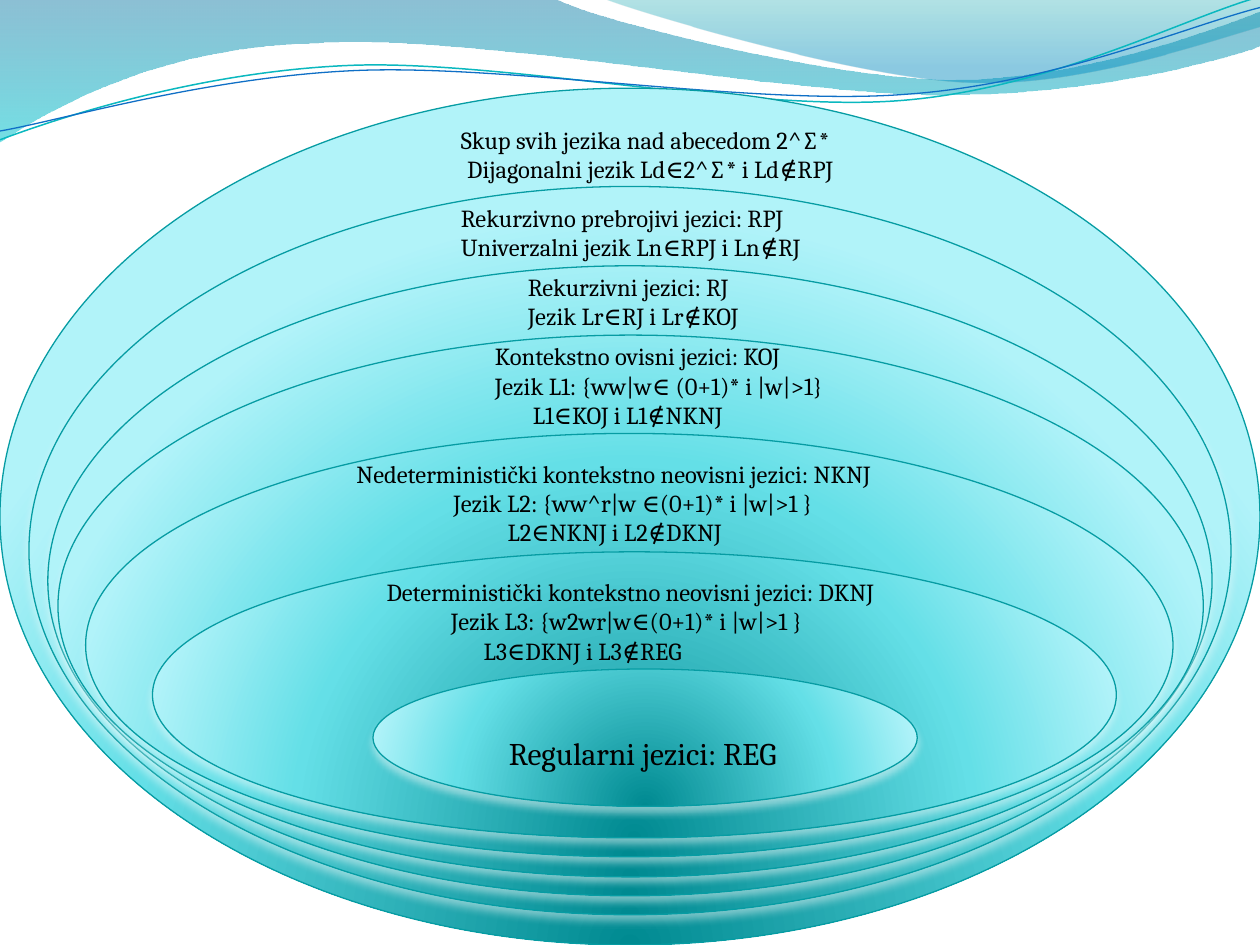
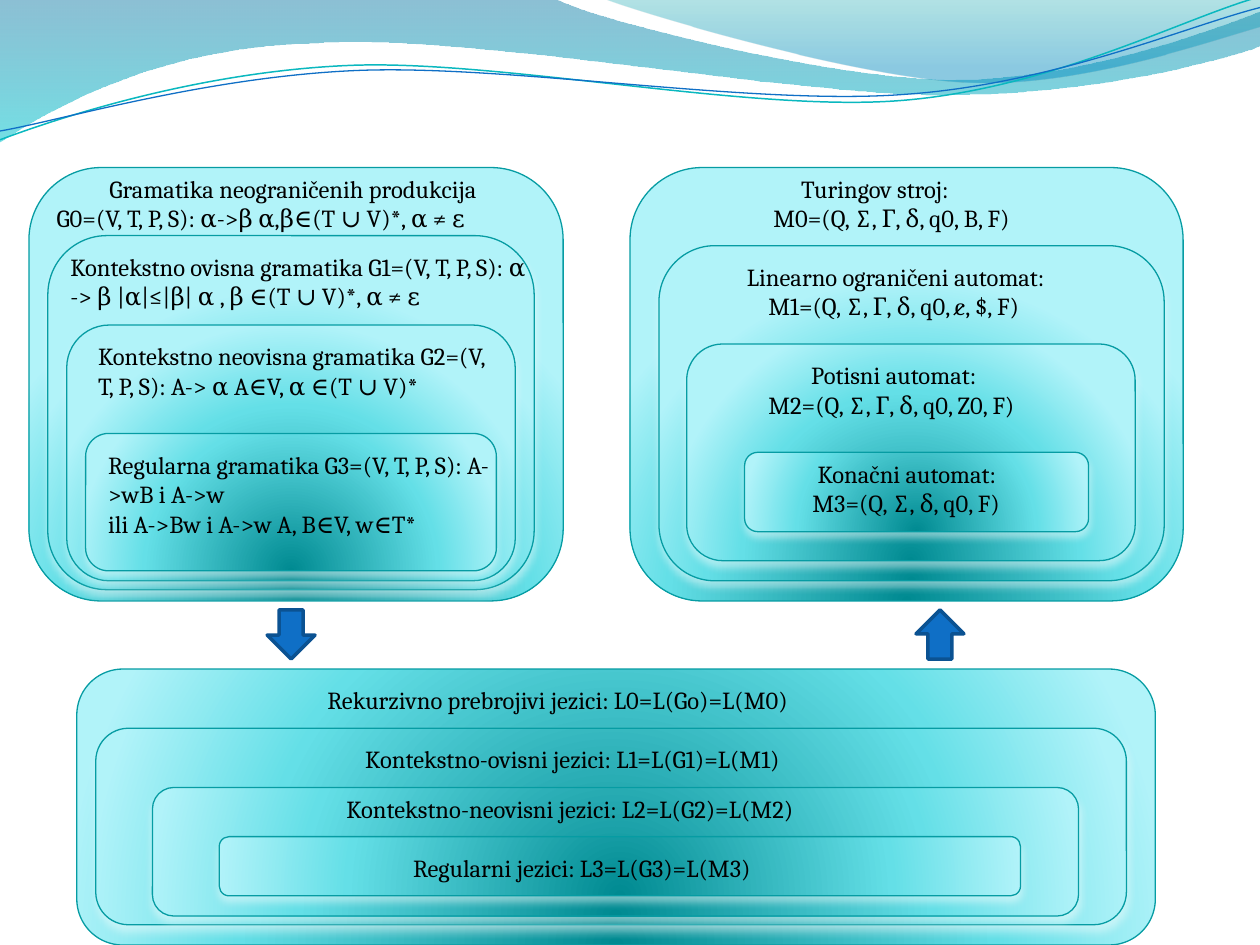
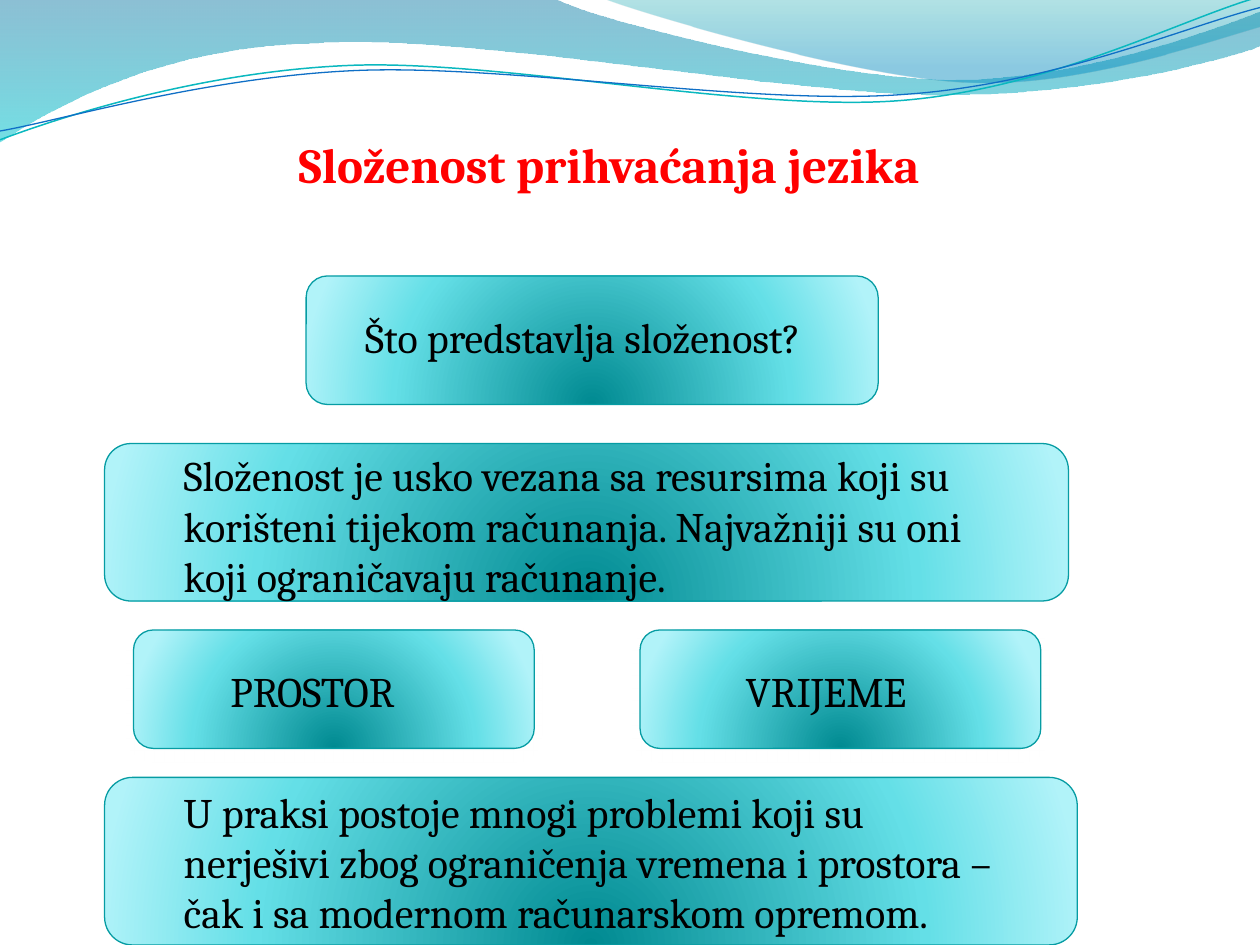
"""Build three slides on language classes, automata and complexity."""
from dataclasses import dataclass
from typing import NamedTuple

from pptx import Presentation
from pptx.dml.color import RGBColor
from pptx.enum.lang import MSO_LANGUAGE_ID
from pptx.enum.shapes import MSO_CONNECTOR, MSO_SHAPE
from pptx.enum.text import MSO_ANCHOR, MSO_AUTO_SIZE, PP_ALIGN
from pptx.oxml import parse_xml
from pptx.oxml.ns import nsdecls, qn
from pptx.util import Inches, Pt

BLACK = RGBColor(0x00, 0x00, 0x00)
RED = RGBColor(0xFF, 0x00, 0x00)
BLUE = RGBColor(0x0F, 0x6F, 0xC6)
NAVY = RGBColor(0x0B, 0x52, 0x92)
CYAN = RGBColor(0x0A, 0xB8, 0xBF)
TEAL_LINE = RGBColor(0x06, 0x9C, 0xA3)
TEAL_DARK = RGBColor(0x00, 0x8A, 0x91)
TEAL_MID = RGBColor(0x64, 0xDF, 0xE7)
TEAL_PALE = RGBColor(0xB1, 0xF3, 0xF9)
WAVE_BLUE = RGBColor(0x00, 0x74, 0xA1)
WAVE_AQUA = RGBColor(0x00, 0xC6, 0xCF)
WAVE_TEAL = RGBColor(0x00, 0xA1, 0xA9)
WAVE_SKY = RGBColor(0x00, 0x8B, 0xBF)
GLOW = RGBColor(0xFF, 0xFF, 0xFF)
FONT = "Cambria"
TITLE_ONLY, BLANK = 5, 6
ELLIPSE, ROUND = MSO_SHAPE.OVAL, MSO_SHAPE.ROUNDED_RECTANGLE


class Box(NamedTuple):
    """Left, top, width and height in inches."""

    left: float
    top: float
    width: float
    height: float

    def emu(self) -> tuple:
        """Return the box as lengths."""
        return tuple(Inches(v) for v in self)


class Line(NamedTuple):
    """One paragraph and its left indent in inches."""

    text: str
    indent: float = 0


class Stop(NamedTuple):
    """One gradient stop, with position and opacity in percent."""

    pos: int
    color: RGBColor
    opacity: int = 100


@dataclass(frozen=True)
class Panel:
    """A gradient shape and the caption that lies on it."""

    box: Box
    caption: Box
    lines: tuple[Line, ...]
    size: int = 14


@dataclass(frozen=True)
class Wave:
    """A curved outline; six-number segments are Bézier curves."""

    start: tuple[float, float]
    segments: tuple[tuple[float, ...], ...]
    stops: tuple[Stop, ...] = ()
    color: RGBColor | None = None
    weight: float = 0


PANEL_STOPS = (Stop(0, TEAL_DARK), Stop(68, TEAL_MID), Stop(100, TEAL_PALE))
RADIAL = ('<a:path path="circle"><a:fillToRect l="50000" t="130000" '
          'r="50000" b="-30000"/></a:path>')
DOWNWARD = '<a:lin ang="5400000" scaled="0"/>'

WAVES = (
    Wave((0, 0), ((4.4, -0.01), (4.76, 0.17, 6.64, 0.63, 7.58, 0.63),
                  (8.53, 0.63, 9.58, 0.26, 10, 0.09), (10.01, 0.36),
                  (9.83, 0.44, 8.7, 0.76, 7.46, 0.75),
                  (6.22, 0.75, 3.82, 0.28, 2.57, 0.34),
                  (1.29, 0.36, 0.46, 0.83, -0.01, 1.13)),
         stops=(Stop(0, WAVE_BLUE, 45), Stop(100, WAVE_AQUA, 55))),
    Wave((4.79, -0.01), ((5.09, 0.11, 6.82, 0.62, 7.69, 0.65),
                         (8.56, 0.69, 9.61, 0.32, 10, 0.21), (10, 0)),
         stops=(Stop(0, WAVE_TEAL, 30), Stop(80, WAVE_SKY, 45))),
    Wave((0, 1.11), ((0.48, 0.93, 1.58, 0.57, 2.77, 0.52),
                     (3.95, 0.47, 5.93, 0.89, 7.13, 0.8),
                     (8.33, 0.71, 9.38, 0.15, 9.98, -0.02)),
         color=CYAN, weight=0.85),
    Wave((0, 1.04), ((0.47, 0.96, 1.64, 0.61, 2.83, 0.56),
                     (4.03, 0.51, 5.97, 0.84, 7.17, 0.75),
                     (8.36, 0.67, 9.41, 0.21, 10, 0.06)),
         color=BLUE, weight=0.75),
)

LANGUAGE_CLASSES = (
    Panel(Box(0, 0.7, 10, 6.8), Box(3.56, 0.94, 3.94, 0.57),
          (Line("Skup svih jezika nad abecedom 2^∑*"),
           Line("Dijagonalni jezik Ld∈2^∑* i Ld∉RPJ", 0.05))),
    Panel(Box(0.23, 1.48, 9.54, 5.78), Box(3.56, 1.56, 3.64, 0.57),
          (Line("Rekurzivno prebrojivi jezici: RPJ"),
           Line("Univerzalni jezik Ln∈RPJ i Ln∉RJ"))),
    Panel(Box(0.38, 2.11, 9.24, 5), Box(4.09, 2.11, 2.35, 0.57),
          (Line("Rekurzivni jezici: RJ"), Line("Jezik Lr∈RJ i Lr∉KOJ"))),
    Panel(Box(0.46, 2.66, 9.09, 4.3), Box(3.83, 2.66, 3.41, 0.81),
          (Line("Kontekstno ovisni jezici: KOJ"),
           Line("Jezik L1: {ww|w∈ (0+1)* i |w|>1}"),
           Line("L1∈KOJ i L1∉NKNJ", 0.3))),
    Panel(Box(0.68, 3.44, 8.63, 3.36), Box(2.73, 3.59, 5.83, 0.81),
          (Line("Nedeterministički kontekstno neovisni jezici: NKNJ"),
           Line("Jezik L2: {ww^r|w ∈(0+1)* i |w|>1 }", 0.77),
           Line("L2∈NKNJ i L2∉DKNJ", 1.2))),
    Panel(Box(1.21, 4.38, 7.65, 2.27), Box(2.97, 4.53, 4.47, 0.81),
          (Line("Deterministički kontekstno neovisni jezici: DKNJ"),
           Line("Jezik L3: {w2wr|w∈(0+1)* i |w|>1 }", 0.51),
           Line("L3∈DKNJ i L3∉REG", 0.77))),
    Panel(Box(2.96, 5.31, 4.32, 1.09), Box(3.94, 5.78, 2.65, 0.4),
          (Line("Regularni jezici: REG"),), 18),
)

GRAMMARS = (
    Panel(Box(0.23, 1.33, 4.24, 3.44), Box(0.3, 1.33, 4.09, 0.57),
          (Line("Gramatika neograničenih produkcija", 0.47),
           Line("G0=(V, T, P, S): α->β α,β∈(T ∪ V)*, α ≠ ε", 0.05))),
    Panel(Box(0.38, 1.87, 3.86, 2.81), Box(0.46, 1.95, 3.86, 0.57),
          (Line("Kontekstno ovisna gramatika G1=(V, T, P, S): α -> β "
                "|α|≤|β| α , β ∈(T ∪ V)*, α ≠ ε"),)),
    Panel(Box(0.53, 2.58, 3.56, 2.03), Box(0.68, 2.66, 3.33, 0.81),
          (Line("Kontekstno neovisna gramatika G2=(V, T, P, S): "
                "A-> α A∈V, α ∈(T ∪ V)*"),)),
    Panel(Box(0.68, 3.44, 3.26, 1.09), Box(0.76, 3.52, 3.26, 0.81),
          (Line("Regularna gramatika G3=(V, T, P, S): A->wB i A->w"),
           Line("ili A->Bw i A->w A, B∈V, w∈T*"))),
)

AUTOMATA = (
    Panel(Box(5, 1.33, 4.39, 3.44), Box(5.53, 1.33, 3.33, 0.57),
          (Line("Turingov stroj:", 0.73),
           Line("M0=(Q, ∑, Γ, δ, q0, B, F)", 0.51))),
    Panel(Box(5.23, 1.95, 4.01, 2.66), Box(5.83, 2.03, 2.8, 0.57),
          (Line("Linearno ograničeni automat:"),
           Line("M1=(Q, ∑, Γ, δ, q0, c, $, F)", 0.17))),
    Panel(Box(5.45, 2.73, 3.56, 1.72), Box(5.83, 2.81, 2.8, 0.57),
          (Line("Potisni automat:", 0.51),
           Line("M2=(Q, ∑, Γ, δ, q0, Z0, F)", 0.17))),
    Panel(Box(5.91, 3.59, 2.73, 0.63), Box(6.14, 3.59, 2.27, 0.57),
          (Line("Konačni automat:", 0.25),
           Line("M3=(Q, ∑, δ, q0, F)", 0.21))),
)

LANGUAGES = (
    Panel(Box(0.61, 5.31, 8.56, 2.19), Box(2.5, 5.39, 6.74, 0.34),
          (Line("Rekurzivno prebrojivi jezici: L0=L(Go)=L(M0)"),)),
    Panel(Box(0.76, 5.78, 8.18, 1.56), Box(2.8, 5.86, 6.13, 0.34),
          (Line("Kontekstno-ovisni jezici: L1=L(G1)=L(M1)"),)),
    Panel(Box(1.21, 6.25, 7.35, 1.02), Box(2.65, 6.25, 4.47, 0.34),
          (Line("Kontekstno-neovisni jezici: L2=L(G2)=L(M2)"),)),
    Panel(Box(1.74, 6.64, 6.36, 0.47), Box(3.18, 6.72, 4.7, 0.34),
          (Line("Regularni jezici: L3=L(G3)=L(M3)"),)),
)

COMPLEXITY = (
    Panel(Box(2.43, 2.19, 4.54, 1.02), Box(2.8, 2.42, 4.01, 0.5),
          (Line("Što predstavlja složenost?"),), 24),
    Panel(Box(0.83, 3.52, 7.65, 1.25), Box(1.36, 3.52, 6.8, 1.31),
          (Line("Složenost je usko vezana sa resursima koji su korišteni "
                "tijekom računanja. Najvažniji su oni koji ograničavaju "
                "računanje."),), 24),
    Panel(Box(0.83, 6.17, 7.72, 1.33), Box(1.36, 6.19, 6.74, 1.31),
          (Line("U praksi postoje mnogi problemi koji su nerješivi zbog "
                "ograničenja vremena i prostora – čak i sa modernom "
                "računarskom opremom."),), 24),
    Panel(Box(1.06, 5, 3.18, 0.94), Box(1.29, 5.23, 2.57, 0.5),
          (Line("PROSTOR", 0.44),), 24),
    Panel(Box(5.08, 5, 3.18, 0.94), Box(5.38, 5.23, 2.57, 0.5),
          (Line("VRIJEME", 0.44),), 24),
)


def set_gradient(sp, stops: tuple[Stop, ...], direction: str) -> None:
    """Fill a shape with a gradient of the given stops and direction."""
    gs = "".join(
        f'<a:gs pos="{s.pos * 1000}"><a:srgbClr val="{s.color}">'
        f'<a:alpha val="{s.opacity * 1000}"/></a:srgbClr></a:gs>'
        for s in stops)
    sp.fill.gradient()
    spPr = sp.element.spPr
    spPr.replace(spPr.find(qn("a:gradFill")), parse_xml(
        f'<a:gradFill {nsdecls("a")} rotWithShape="1"><a:gsLst>{gs}</a:gsLst>'
        f'{direction}</a:gradFill>'))


def add_glow(sp) -> None:
    """Give a shape a soft light shadow below it."""
    sp.shadow.inherit = False
    sp.element.spPr.find(qn("a:effectLst")).append(parse_xml(
        f'<a:outerShdw {nsdecls("a")} blurRad="{Pt(4.5)}" dist="{Pt(3)}" '
        f'dir="5400000" algn="ctr" rotWithShape="0"><a:srgbClr val="{GLOW}">'
        '<a:alpha val="48000"/></a:srgbClr></a:outerShdw>'))


def add_outline(slide, wave: Wave):
    """Draw the outline of a wave, with Bézier curves where it bends."""
    x, y = wave.start
    builder = slide.shapes.build_freeform(Inches(x), Inches(y))
    ends = [(Inches(seg[-2]), Inches(seg[-1])) for seg in wave.segments]
    builder.add_line_segments(ends, close=bool(wave.stops))
    sp = builder.convert_to_shape()
    steps = list(sp.element.spPr.iter(qn("a:lnTo")))
    for step, seg in zip(steps, wave.segments):
        if len(seg) == 6:
            pts = "".join(
                f'<a:pt x="{Inches(px) - sp.left}" y="{Inches(py) - sp.top}"/>'
                for px, py in zip(seg[::2], seg[1::2]))
            step.getparent().replace(step, parse_xml(
                f'<a:cubicBezTo {nsdecls("a")}>{pts}</a:cubicBezTo>'))
    return sp


def add_waves(prs, slide) -> None:
    """Draw the waves on a slide and move them to the master."""
    for number, wave in enumerate(WAVES, 101):
        sp = add_outline(slide, wave)
        sp.shadow.inherit = False
        if wave.stops:
            set_gradient(sp, wave.stops, DOWNWARD)
            sp.line.fill.background()
        else:
            sp.fill.background()
            sp.line.color.rgb = wave.color
            sp.line.width = Pt(wave.weight)
        sp.element.nvSpPr.cNvPr.set("id", str(number))
        prs.slide_master.shapes.element.append(sp.element)


def style_font(p, size: int, color: RGBColor, bold: bool = False) -> None:
    """Set the font and language of a paragraph."""
    p.font.name = FONT
    p.font.size = Pt(size)
    p.font.bold = bold
    p.font.color.rgb = color
    for r in p.runs:
        r.font.language_id = MSO_LANGUAGE_ID.CROATIAN


def add_caption(slide, panel: Panel) -> None:
    """Write the caption of a panel."""
    tf = slide.shapes.add_textbox(*panel.caption.emu()).text_frame
    tf.word_wrap = True
    tf.auto_size = MSO_AUTO_SIZE.SHAPE_TO_FIT_TEXT
    for i, line in enumerate(panel.lines):
        p = tf.add_paragraph() if i else tf.paragraphs[0]
        p.text = line.text
        if line.indent:
            p._p.get_or_add_pPr().set("marL", str(Inches(line.indent)))
        style_font(p, panel.size, BLACK)


def add_panels(slide, kind: MSO_SHAPE, panels: tuple[Panel, ...]) -> None:
    """Draw panels from back to front, each with its caption."""
    for panel in panels:
        sp = slide.shapes.add_shape(kind, *panel.box.emu())
        set_gradient(sp, PANEL_STOPS, RADIAL)
        sp.line.color.rgb = TEAL_LINE
        sp.line.width = Pt(0.75)
        add_glow(sp)
        add_caption(slide, panel)


def add_arrow(slide, left: float, rotation: int) -> None:
    """Draw a block arrow between the upper and lower panels."""
    sp = slide.shapes.add_shape(MSO_SHAPE.UP_ARROW,
                                *Box(left, 4.84, 0.38, 0.39).emu())
    sp.rotation = rotation
    sp.shadow.inherit = False
    sp.fill.solid()
    sp.fill.fore_color.rgb = BLUE
    sp.line.color.rgb = NAVY
    sp.line.width = Pt(2)


def add_cent_stroke(slide) -> None:
    """Strike the letter c of the bounded automaton."""
    cxn = slide.shapes.add_connector(
        MSO_CONNECTOR.STRAIGHT, Inches(7.57), Inches(2.5),
        Inches(7.65), Inches(2.42))
    cxn.line.color.rgb = BLACK
    cxn.line.width = Pt(0.75)
    cxn.element.spPr.append(parse_xml(f'<a:effectLst {nsdecls("a")}/>'))


def set_title(slide, text: str, box: Box) -> None:
    """Place and format the title placeholder."""
    title = slide.shapes.title
    title.left, title.top, title.width, title.height = box.emu()
    tf = title.text_frame
    tf.text = text
    tf.word_wrap = True
    tf.auto_size = MSO_AUTO_SIZE.NONE
    tf.vertical_anchor = MSO_ANCHOR.TOP
    p = tf.paragraphs[0]
    p.alignment = PP_ALIGN.LEFT
    style_font(p, 28, RED, bold=True)


def main() -> None:
    """Build and save the presentation."""
    prs = Presentation()
    prs.slide_width, prs.slide_height = Inches(10), Inches(7.5)
    layouts = prs.slide_layouts

    slide = prs.slides.add_slide(layouts[BLANK])
    add_waves(prs, slide)
    add_panels(slide, ELLIPSE, LANGUAGE_CLASSES)

    slide = prs.slides.add_slide(layouts[BLANK])
    for panels in (GRAMMARS, AUTOMATA, LANGUAGES):
        add_panels(slide, ROUND, panels)
    add_arrow(slide, 7.27, 0)
    add_arrow(slide, 2.12, 180)
    add_cent_stroke(slide)

    slide = prs.slides.add_slide(layouts[TITLE_ONLY])
    set_title(slide, "Složenost prihvaćanja jezika", Box(2.27, 1.02, 5.91, 0.57))
    add_panels(slide, ROUND, COMPLEXITY)

    prs.save("out.pptx")


if __name__ == "__main__":
    main()
